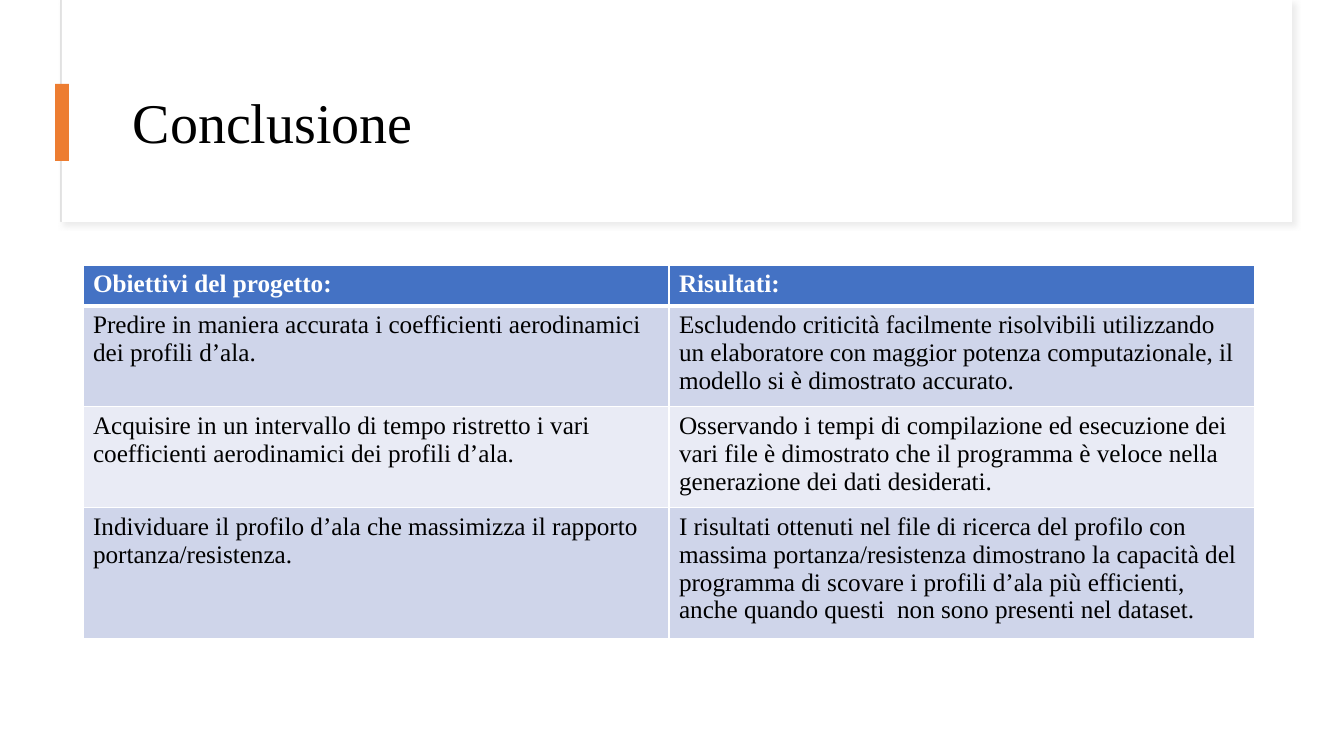
"""Build the "Conclusione" slide: a framed title and a table of goals and results."""
import pptx
import pptx.dml.color
import pptx.enum.shapes
import pptx.enum.text
import pptx.oxml
import pptx.oxml.ns
import pptx.util

PX = 914400 / 100.8
FONT = "Times New Roman"
NS = pptx.oxml.ns.nsdecls("a")


def px(n):
    return pptx.util.Emu(round(n * PX))


def rgb(color):
    return pptx.dml.color.RGBColor.from_string(color)


prs = pptx.Presentation()
prs.slide_width, prs.slide_height = px(1344), px(756)
s = prs.slides.add_slide(prs.slide_layouts[6])

boxes = [
    (61, 0, 1231, 222, "FFFFFF", "E1E1E1"),
    (62, 0, 1230, 222, "FFFFFF", None),
    (55, 84, 14, 77, "ED7D31", None),
]
for x, y, w, h, fill, line in boxes:
    sp = s.shapes.add_shape(pptx.enum.shapes.MSO_SHAPE.RECTANGLE, px(x), px(y), px(w), px(h))
    sp.shadow.inherit = False
    sp.fill.solid()
    sp.fill.fore_color.rgb = rgb(fill)
    if line:
        sp.line.color.rgb = rgb(line)
        sp.line.width = pptx.util.Pt(0.75)
        effects = sp._element.spPr.find(pptx.oxml.ns.qn("a:effectLst"))
        effects.append(pptx.oxml.parse_xml(
            f'<a:outerShdw {NS} blurRad="50800" dist="38100" dir="2700000" algn="tl" rotWithShape="0">'
            '<a:srgbClr val="D9D9D9"><a:alpha val="50000"/></a:srgbClr></a:outerShdw>'))
    else:
        sp.line.fill.background()

tf = s.shapes.add_textbox(px(123), px(60), px(1121), px(130)).text_frame
tf.word_wrap = True
tf.vertical_anchor = pptx.enum.text.MSO_ANCHOR.MIDDLE
p = tf.paragraphs[0]
p.text = "Conclusione"
p.line_spacing = 0.9
p.font.name = FONT
p.font.size = pptx.util.Pt(40)
p.font.color.rgb = rgb("000000")

rows = [
    ("Obiettivi del progetto:", "Risultati:"),
    ("Predire in maniera accurata i coefficienti aerodinamici dei profili d’ala.",
     "Escludendo criticità facilmente risolvibili utilizzando un elaboratore con maggior "
     "potenza computazionale, il modello si è dimostrato accurato."),
    ("Acquisire in un intervallo di tempo ristretto i vari coefficienti aerodinamici dei profili d’ala.",
     "Osservando i tempi di compilazione ed esecuzione dei vari file è dimostrato che il "
     "programma è veloce nella generazione dei dati desiderati."),
    ("Individuare il profilo d’ala che massimizza il rapporto portanza/resistenza.",
     "I risultati ottenuti nel file di ricerca del profilo con massima portanza/resistenza "
     "dimostrano la capacità del programma di scovare i profili d’ala più efficienti, "
     "anche quando questi  non sono presenti nel dataset."),
]
heights = [41, 93, 93, 121]
fills = ["4472C4", "CFD5EA", "E9EBF5", "CFD5EA"]

table = s.shapes.add_table(4, 2, px(83), px(265), px(1172), px(sum(heights))).table
for column in table.columns:
    column.width = px(586)
for i, texts in enumerate(rows):
    table.rows[i].height = px(heights[i])
    for j, text in enumerate(texts):
        cell = table.cell(i, j)
        cell.fill.solid()
        cell.fill.fore_color.rgb = rgb(fills[i])
        p = cell.text_frame.paragraphs[0]
        p.text = text
        p.font.name = FONT
        p.font.size = pptx.util.Pt(18)
        p.font.bold = i == 0
        p.font.color.rgb = rgb("FFFFFF" if i == 0 else "000000")
        tcPr = cell._tc.get_or_add_tcPr()
        for k, side in enumerate("LRTB"):
            width = pptx.util.Pt(3 if (i, side) in [(0, "B"), (1, "T")] else 1)
            tcPr.insert(k, pptx.oxml.parse_xml(
                f'<a:ln{side} {NS} w="{width}"><a:solidFill><a:srgbClr val="FFFFFF"/>'
                f'</a:solidFill></a:ln{side}>'))

prs.save("out.pptx")
